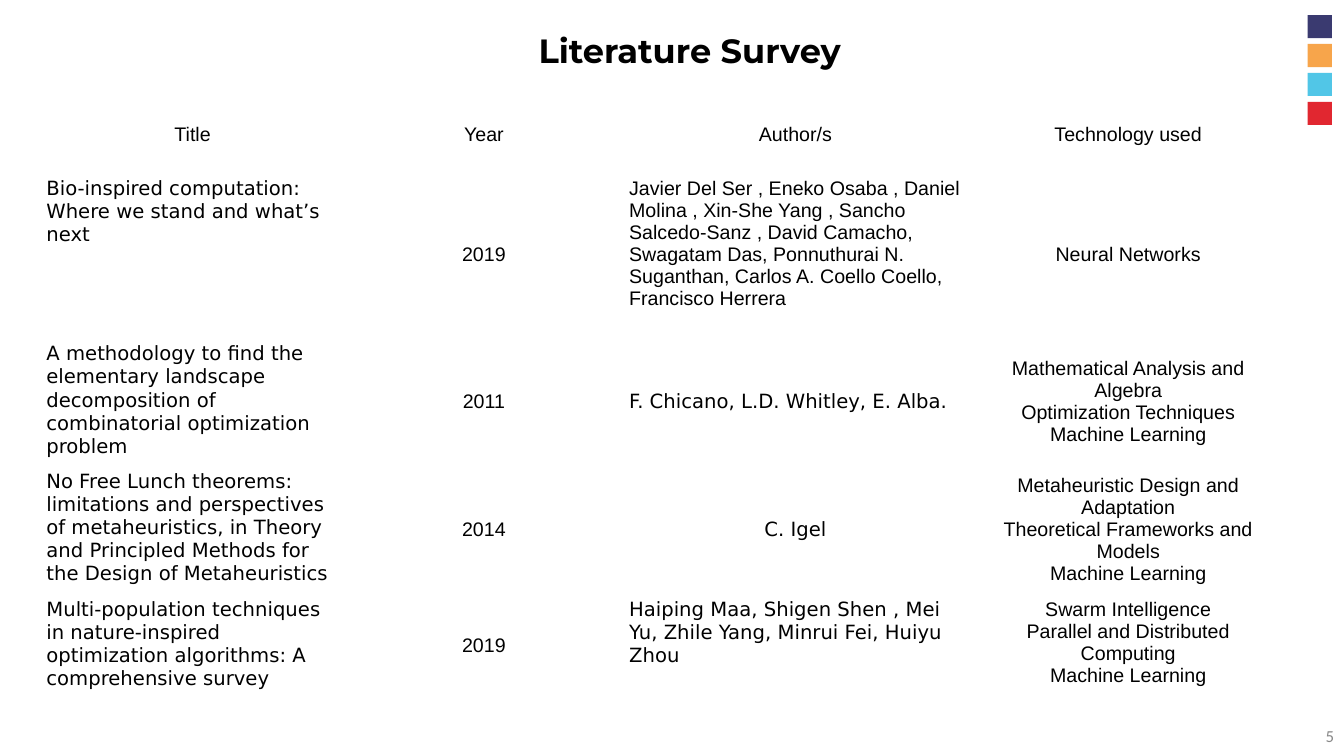
import pptx
import pptx.dml.color
import pptx.enum.shapes
import pptx.enum.text
import pptx.util

WIDTH, HEIGHT = 13.33, 7.5
COLOURS = {"text": "000000", "number": "888888", "navy": "3A3A70",
           "orange": "F7A54B", "sky": "51C6E7", "red": "E12730"}
ALIGN = pptx.enum.text.PP_ALIGN
ANCHOR = pptx.enum.text.MSO_ANCHOR
SANS, WIDE = "Arial", "DejaVu Sans"
LEFT, CENTER = ALIGN.LEFT, ALIGN.CENTER
TOP, MIDDLE = ANCHOR.TOP, ANCHOR.MIDDLE

COLUMNS = [3.1, 2.68, 3.5, 3.1]
ROWS = [0.75, 1.64, 1.24, 1.24, 1.01]
HEADINGS = ["Title", "Year", "Author/s", "Technology used"]
PAPERS = [
    ("Bio-inspired computation: Where we stand and what’s next", "2019",
     ("Javier Del Ser , Eneko Osaba , Daniel Molina , Xin-She Yang , Sancho "
      "Salcedo-Sanz , David Camacho, Swagatam Das, Ponnuthurai N. Suganthan, "
      "Carlos A. Coello Coello, Francisco Herrera", SANS, LEFT, TOP),
     "Neural Networks", MIDDLE),
    ("A methodology to find the elementary landscape decomposition of "
     "combinatorial optimization problem", "2011",
     ("F. Chicano, L.D. Whitley, E. Alba.", WIDE, LEFT, MIDDLE),
     "Mathematical Analysis and Algebra\nOptimization Techniques\n"
     "Machine Learning", MIDDLE),
    ("No Free Lunch theorems: limitations and perspectives of metaheuristics, "
     "in Theory and Principled Methods for the Design of Metaheuristics", "2014",
     ("C. Igel", WIDE, CENTER, MIDDLE),
     "Metaheuristic Design and Adaptation\nTheoretical Frameworks and Models\n"
     "Machine Learning", MIDDLE),
    ("Multi-population techniques in nature-inspired optimization algorithms: "
     "A comprehensive survey", "2019",
     ("Haiping Maa, Shigen Shen , Mei Yu, Zhile Yang, Minrui "
      "Fei, Huiyu Zhou", WIDE, LEFT, TOP),
     "Swarm Intelligence\nParallel and Distributed Computing\n"
     "Machine Learning", TOP),
]


def inches(*lengths):
    """Convert lengths in inches to slide units."""
    return [pptx.util.Inches(length) for length in lengths]


def rgb(name):
    """Look up a colour by name."""
    return pptx.dml.color.RGBColor.from_string(COLOURS[name])


def write(frame, text, font, size=14, align=LEFT, colour="text", bold=False):
    """Fill a text frame, one paragraph for each line of text."""
    frame.word_wrap = True
    frame.text = text
    style = {"name": font, "size": pptx.util.Pt(size), "bold": bold}
    for para in frame.paragraphs:
        para.alignment = align
        for span in para.runs:
            span.font.color.rgb = rgb(colour)
            for key, value in style.items():
                setattr(span.font, key, value)


def add_label(page, box, text, anchor=TOP, **style):
    """Place a text box in the given box."""
    frame = page.shapes.add_textbox(*inches(*box)).text_frame
    write(frame, text, **style)
    frame.vertical_anchor = anchor


def add_swatches(page, box):
    """Stack the coloured squares in the given box."""
    left, top, width, height = box
    names = ["navy", "orange", "sky", "red"]
    side = 0.23
    step = (height - side) / (len(names) - 1)
    for index, name in enumerate(names):
        swatch = page.shapes.add_shape(
            pptx.enum.shapes.MSO_SHAPE.RECTANGLE,
            *inches(left, top + index * step, width, side))
        swatch.shadow.inherit = False
        swatch.fill.solid()
        swatch.fill.fore_color.rgb = rgb(name)
        swatch.line.fill.background()


def survey_rows():
    """Give each table row as cells of text, font, alignment and anchor."""
    yield [(heading, SANS, CENTER, MIDDLE) for heading in HEADINGS]
    for title, year, authors, technology, anchor in PAPERS:
        yield [(title, WIDE, LEFT, TOP), (year, SANS, CENTER, MIDDLE),
               authors, (technology, SANS, CENTER, anchor)]


def add_survey(page, box):
    """Place the table of papers in the given box."""
    table = page.shapes.add_table(len(ROWS), len(COLUMNS), *inches(*box)).table
    table.first_row = table.horz_banding = False
    for column, width in zip(table.columns, inches(*COLUMNS)):
        column.width = width
    for row, height, contents in zip(table.rows, inches(*ROWS), survey_rows()):
        row.height = height
        for cell, (text, font, align, anchor) in zip(row.cells, contents):
            cell.fill.background()
            cell.vertical_anchor = anchor
            write(cell.text_frame, text, font, align=align)


def main():
    """Build and save the slide."""
    deck = pptx.Presentation()
    deck.slide_width, deck.slide_height = inches(WIDTH, HEIGHT)
    page = deck.slides.add_slide(deck.slide_layouts[6])
    add_swatches(page, (12.97, 0.15, 0.24, 1.09))
    add_label(page, (WIDTH - 3, HEIGHT - 0.4, 3, 0.4), "5", anchor=MIDDLE,
              font="Calibri", size=12, align=ALIGN.RIGHT, colour="number")
    add_label(page, (1.09, 0.25, 11.5, 0.54), "Literature Survey",
              font="Montserrat", size=24, align=CENTER, bold=True)
    add_survey(page, (0.36, 0.96, sum(COLUMNS), sum(ROWS)))
    deck.save("out.pptx")


if __name__ == "__main__":
    main()
